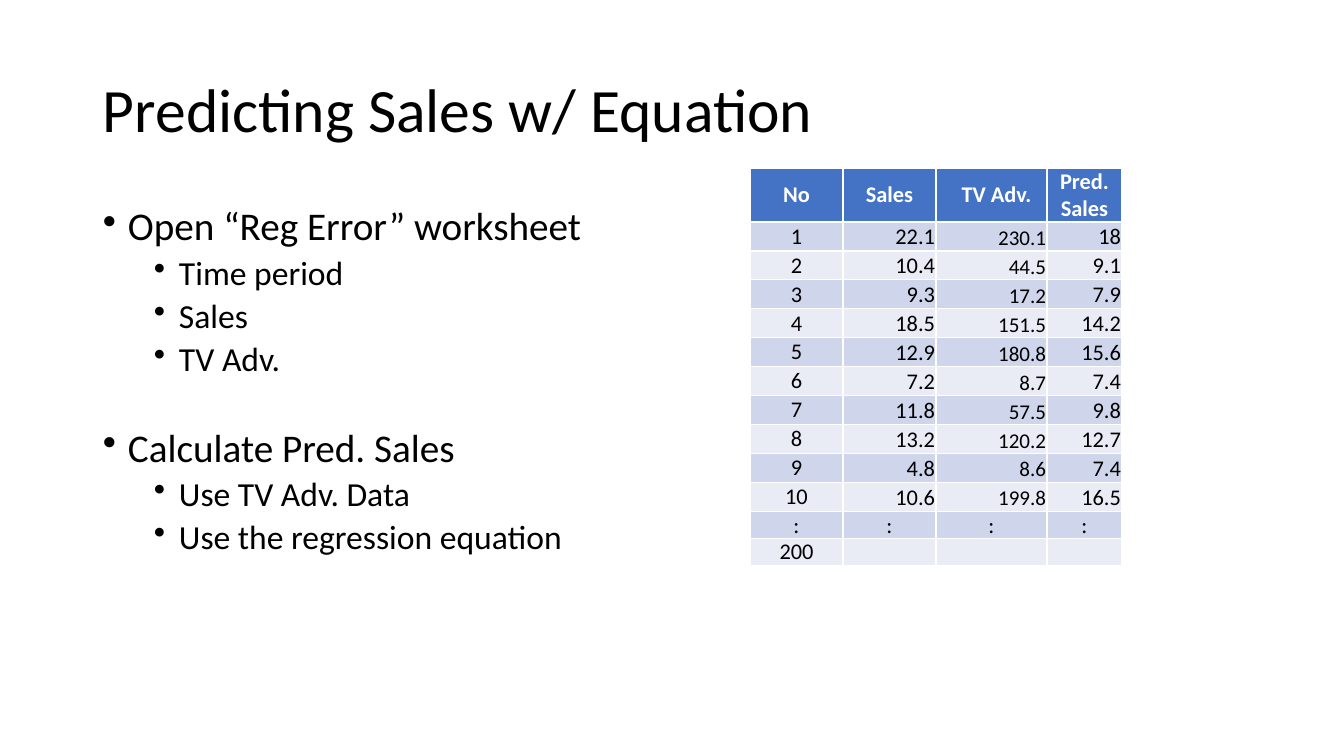
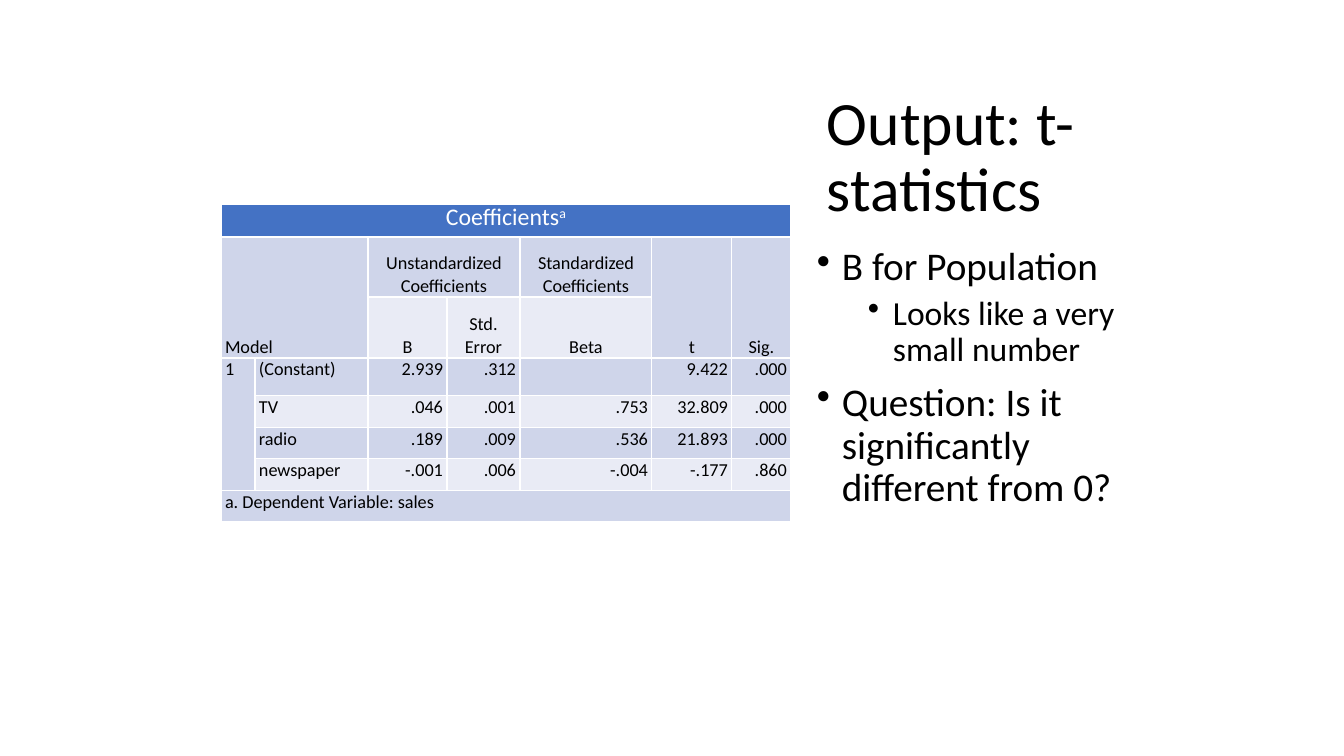
from lxml.etree import SubElement
from pptx import Presentation
from pptx.dml.color import RGBColor
from pptx.enum.text import MSO_ANCHOR, PP_ALIGN
from pptx.oxml.ns import qn
from pptx.util import Pt

PX_PER_INCH = 100.8
FONT = "Calibri"
BLACK, WHITE = "000000", "FFFFFF"
HEADER, BANDS = "4472C4", ("CFD5EA", "E9EBF5")
ALIGN = {"l": PP_ALIGN.LEFT, "c": PP_ALIGN.CENTER, "r": PP_ALIGN.RIGHT}
ANCHOR = {"t": MSO_ANCHOR.TOP, "m": MSO_ANCHOR.MIDDLE, "b": MSO_ANCHOR.BOTTOM}
# Bullet levels: size, space before, left indent
LEVELS = ((28, 10, 25), (24, 5, 76))
HANG = 25


def px(n):
    return round(n * 914400 / PX_PER_INCH)


def rgb(value):
    return RGBColor.from_string(value)


def write(p, text, size=16, color=BLACK, bold=False, align="l", spacing=None,
          before=0, left=0, right=0, hang=0, bullet=None, sup=None):
    """Fill one paragraph; sup is a superscript after the text."""
    p.alignment = ALIGN[align]
    p.space_before = Pt(before)
    if spacing:
        p.line_spacing = spacing
    pPr = p._p.get_or_add_pPr()
    for name, n in (("marL", left), ("marR", right), ("indent", -hang)):
        pPr.set(name, str(px(n)))
    if bullet:
        SubElement(pPr, qn("a:buChar")).set("char", bullet)
    if not text:
        p._p.get_or_add_endParaRPr().set("sz", str(size * 100))
        return
    for part in filter(None, (text, sup)):
        r = p.add_run()
        r.text = part
        r.font.name, r.font.size, r.font.bold = FONT, Pt(size), bold
        r.font.color.rgb = rgb(color)
        if part == sup:
            r.font._element.set("baseline", "30000")


def set_margins(target, across, down):
    target.margin_left = target.margin_right = px(across)
    target.margin_top = target.margin_bottom = px(down)


def add_borders(cell):
    tcPr = cell._tc.get_or_add_tcPr()
    for side in ("lnL", "lnR", "lnT", "lnB"):
        ln = SubElement(tcPr, qn(f"a:{side}"), w=str(Pt(1)))
        fill = SubElement(ln, qn("a:solidFill"))
        SubElement(fill, qn("a:srgbClr"), val=WHITE)


class Deck:
    def __init__(self):
        self.prs = Presentation()
        self.prs.slide_width, self.prs.slide_height = px(1344), px(756)
        self.s = None

    def new_slide(self):
        self.s = self.prs.slides.add_slide(self.prs.slide_layouts[6])

    def text_box(self, box, anchor="t", inset=10):
        tf = self.s.shapes.add_textbox(*map(px, box)).text_frame
        tf.word_wrap = True
        tf.vertical_anchor = ANCHOR[anchor]
        set_margins(tf, inset, 5)
        return tf

    def title(self, text, box, anchor="m"):
        tf = self.text_box(box, anchor)
        write(tf.paragraphs[0], text, size=44, spacing=0.9)

    def bullets(self, items, box, inset=10):
        """Items are (level, text) or (level, text, extra space before)."""
        tf = self.text_box(box, inset=inset)
        for i, (level, text, *extra) in enumerate(items):
            p = tf.add_paragraph() if i else tf.paragraphs[0]
            size, before, left = LEVELS[level]
            write(p, text, size=size, before=before + sum(extra), left=left,
                  hang=HANG, bullet="•", spacing=0.9)

    def table(self, at, widths, heights, rows, style, spans=()):
        """style(row, col) gives anchor, side inset and text format of a cell."""
        size = (sum(widths), sum(heights))
        tbl = self.s.shapes.add_table(len(rows), len(widths),
                                      *map(px, (*at, *size))).table
        tbl.first_row = tbl.horz_banding = False
        for col, w in zip(tbl.columns, widths):
            col.width = px(w)
        for row, h in zip(tbl.rows, heights):
            row.height = px(h)
        for i, texts in enumerate(rows):
            for j, text in enumerate(texts):
                cell = tbl.cell(i, j)
                anchor, inset, fmt = style(i, j)
                cell.vertical_anchor = ANCHOR[anchor]
                set_margins(cell, inset, 0)
                add_borders(cell)
                cell.fill.solid()
                cell.fill.fore_color.rgb = rgb(BANDS[(i - 1) % 2] if i else HEADER)
                write(cell.text_frame.paragraphs[0], text, **fmt)
        for top, left, bottom, right in spans:
            tbl.cell(top, left).merge(tbl.cell(bottom, right))


def sales_style(i, j):
    if i == 0:
        fmt = dict(color=WHITE, bold=True, align="c", left=10 if j == 2 else 0)
        return "m", 0, fmt
    if j == 0 or i > 10:
        return "m", 0, dict(align="c")
    return "b", 1, dict(align="r", size=15 if j == 2 else 16)


def coefficient_style(i, j):
    fmt = dict(size=13, spacing=Pt(16), left=4, right=4)
    if i == 0:
        return "m", 0, dict(fmt, size=17, color=WHITE, align="c", sup="a")
    if i < 3:
        return "b", 0, dict(fmt, align="c" if j else "l")
    return "t", 0, dict(fmt, align="r" if j > 1 else "l")


def sales_slide(deck):
    deck.new_slide()
    deck.title("Predicting Sales w/ Equation", (93, 40, 1159, 146))
    deck.bullets([
        (0, "Open “Reg Error” worksheet"),
        (1, "Time period"),
        (1, "Sales"),
        (1, "TV Adv."),
        (0, "Calculate Pred. Sales", 25),
        (1, "Use TV Adv. Data"),
        (1, "Use the regression equation"),
    ], (93, 202, 572, 480))
    data = [
        ("22.1", "230.1", "18"), ("10.4", "44.5", "9.1"),
        ("9.3", "17.2", "7.9"), ("18.5", "151.5", "14.2"),
        ("12.9", "180.8", "15.6"), ("7.2", "8.7", "7.4"),
        ("11.8", "57.5", "9.8"), ("13.2", "120.2", "12.7"),
        ("4.8", "8.6", "7.4"), ("10.6", "199.8", "16.5"),
    ]
    rows = [("No", "Sales", "TV Adv.", "Pred. Sales")]
    rows += [(str(n), *values) for n, values in enumerate(data, 1)]
    rows += [(":",) * 4, ("200", "", "", "")]
    deck.table((750, 168), (93, 93, 111, 75), [54] + [29] * 10 + [27] * 2,
               rows, sales_style)


def coefficients_slide(deck):
    deck.new_slide()
    deck.title("Output: t-statistics", (817, 70, 305, 160), anchor="b")
    deck.bullets([
        (0, "B for Population"),
        (1, "Looks like a very small number"),
        (0, "Question: Is it significantly different from 0?"),
    ], (817, 242, 305, 404), inset=0)
    rows = [
        ("Coefficients", "", "", "", "", "", ""),
        ("Model", "", "Unstandardized Coefficients", "",
         "Standardized Coefficients", "t", "Sig."),
        ("", "", "B", "Std. Error", "Beta", "", ""),
        ("1", "(Constant)", "2.939", ".312", "", "9.422", ".000"),
        ("", "TV", ".046", ".001", ".753", "32.809", ".000"),
        ("", "radio", ".189", ".009", ".536", "21.893", ".000"),
        ("", "newspaper", "-.001", ".006", "-.004", "-.177", ".860"),
        ("a. Dependent Variable: sales", "", "", "", "", "", ""),
    ]
    spans = [(0, 0, 0, 6), (1, 0, 2, 1), (1, 2, 1, 3), (1, 5, 2, 5),
             (1, 6, 2, 6), (3, 0, 6, 0), (7, 0, 7, 6)]
    deck.table((221, 204), (34, 113, 79, 73, 132, 80, 59),
               (33, 60, 61, 38, 32, 31, 32, 31), rows, coefficient_style, spans)


def main():
    deck = Deck()
    sales_slide(deck)
    coefficients_slide(deck)
    deck.prs.save("out.pptx")


if __name__ == "__main__":
    main()
